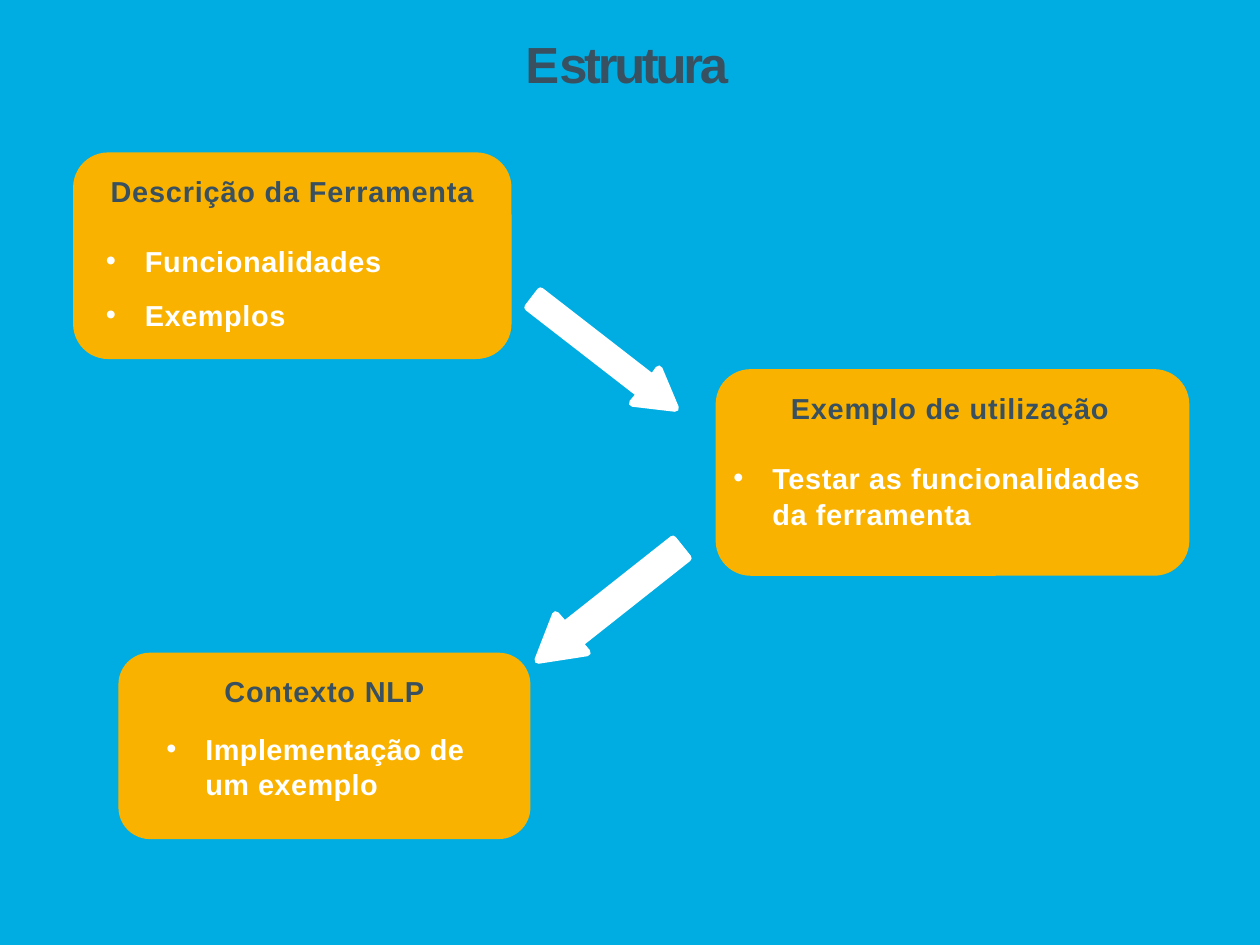
from dataclasses import dataclass

from lxml import etree
from pptx import Presentation
from pptx.dml.color import RGBColor
from pptx.enum import shapes as es, text as et
from pptx.oxml import ns
from pptx.util import Inches, Pt


@dataclass(frozen=True)
class Theme:
    sky: str = "00ADE2"
    gold: str = "FAB200"
    slate: str = "38505F"
    white: str = "FFFFFF"
    font: str = "Arial"
    title: float = 29
    body: float = 16.5
    edge: float = 4.17


T = Theme()


def paint(fill, color):
    fill.solid()
    fill.fore_color.rgb = RGBColor.from_string(color)


def add_run(para, words, size, color, gap):
    run = para.add_run()
    run.text = words
    font = run.font
    font.name, font.size, font.bold = T.font, Pt(size), True
    font.color.rgb = RGBColor.from_string(color)
    font._element.set("spc", str(round(gap * 100)))


def add_text(slide, box, wrap=True):
    frame = slide.shapes.add_textbox(*map(Inches, box)).text_frame
    frame.margin_left = frame.margin_right = frame.margin_bottom = 0
    frame.margin_top = Inches(0.02)
    frame.word_wrap = wrap
    return frame


def add_title(slide, box):
    para = add_text(slide, box, False).paragraphs[0]
    add_run(para, "E", T.title, T.slate, 0)
    add_run(para, "strutura", T.title, T.slate, -1.9)


def add_list(slide, box, items, gap, lead):
    frame = add_text(slide, box)
    for i, item in enumerate(items):
        para = frame.paragraphs[0] if i == 0 else frame.add_paragraph()
        para.line_spacing = lead
        para.space_before = Pt(10.2 if i else 0)
        props = para._p.get_or_add_pPr()
        props.set("marL", str(Inches(0.33)))
        props.set("indent", str(Inches(-0.31)))
        etree.SubElement(props, ns.qn("a:buFont")).set("typeface", T.font)
        etree.SubElement(props, ns.qn("a:buChar")).set("char", "•")
        add_run(para, item, T.body, T.white, gap)


def add_card(slide, box, head, items, inset, drop, wide, gap=0.4, lead=1.05, shift=0):
    x, y, w, h = box
    card = slide.shapes.add_shape(
        es.MSO_SHAPE.ROUNDED_RECTANGLE, *map(Inches, box))
    card.adjustments[0] = 0.17
    card.shadow.inherit = False
    paint(card.fill, T.gold)
    card.line.fill.background()
    para = add_text(slide, (x + shift, y + 0.15, w, 0.29)).paragraphs[0]
    para.alignment = et.PP_ALIGN.CENTER
    add_run(para, head, T.body, T.slate, 0.5)
    add_list(slide, (x + inset, y + drop, wide, 0.7), items, gap, lead)


def add_arrow(slide, x, y, points):
    dots = [(Inches(x + dx), Inches(y + dy)) for dx, dy in points]
    pen = slide.shapes.build_freeform(*dots[0])
    pen.add_line_segments(dots[1:], close=True)
    arrow = pen.convert_to_shape()
    arrow.shadow.inherit = False
    paint(arrow.fill, T.white)
    paint(arrow.line.fill, T.white)
    arrow.line.width = Pt(T.edge)
    etree.SubElement(arrow.line._get_or_add_ln(), ns.qn("a:round"))


def build():
    deck = Presentation()
    deck.slide_width, deck.slide_height = Inches(10), Inches(7.5)
    slide = deck.slides.add_slide(deck.slide_layouts[6])
    paint(slide.background.fill, T.sky)
    add_title(slide, (4.17, 0.24, 1.67, 0.5))
    add_card(slide, (0.58, 1.21, 3.48, 1.64), "Descrição da Ferramenta",
             ["Funcionalidades", "Exemplos"], 0.24, 0.69, 2.8)
    add_card(slide, (5.68, 2.93, 3.76, 1.64), "Exemplo de utilização",
             ["Testar as funcionalidades da ferramenta"],
             0.12, 0.69, 3.32, shift=-0.02)
    add_card(slide, (0.94, 5.18, 3.27, 1.48), "Contexto NLP",
             ["Implementação de um exemplo"],
             0.36, 0.6, 2.47, gap=0.3, lead=1.02)
    add_arrow(slide, 4.19, 2.31, [
        (1.04, 0.62), (1.17, 0.93), (0.83, 0.89), (0.89, 0.82),
        (0, 0.13), (0.1, 0), (0.99, 0.69)])
    add_arrow(slide, 4.27, 4.28, [
        (0.39, 0.9), (0, 0.96), (0.14, 0.6), (0.21, 0.68),
        (1.07, 0), (1.19, 0.15), (0.33, 0.83)])
    deck.save("out.pptx")


build()
